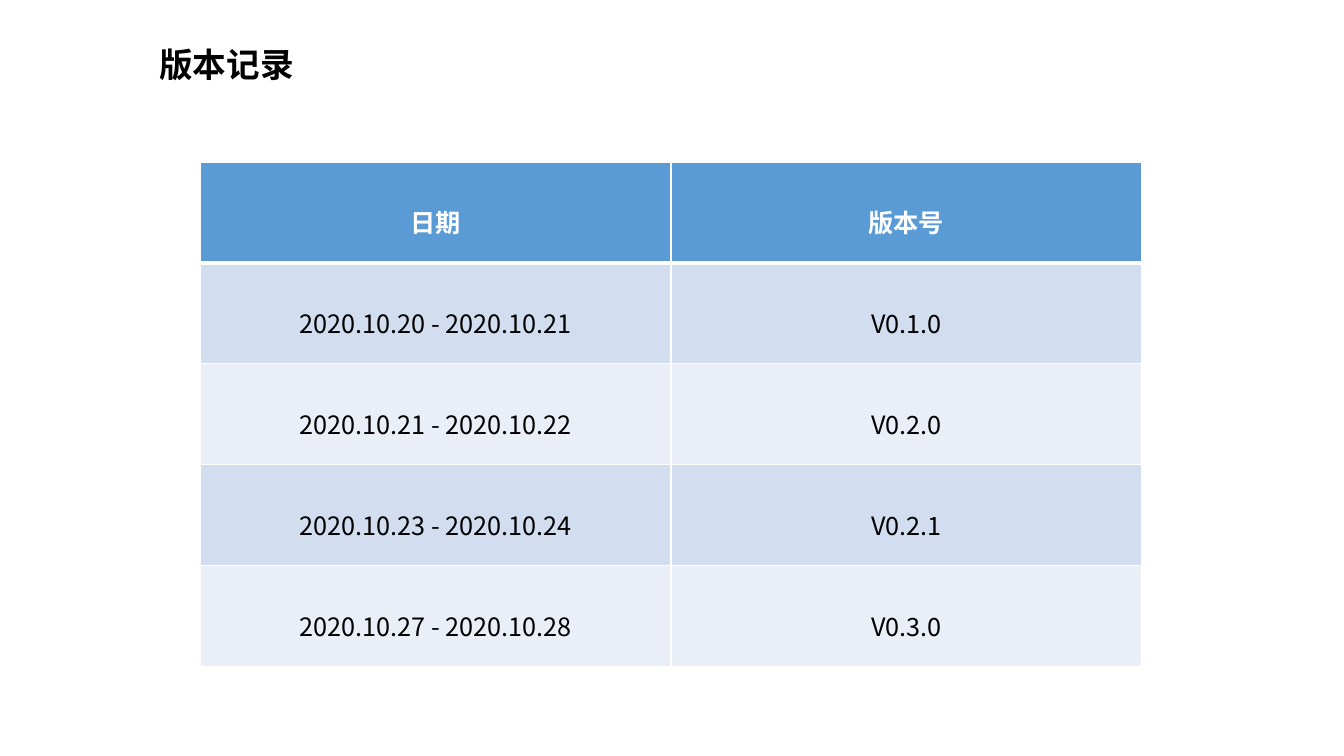
from lxml.etree import SubElement
from pptx import Presentation
from pptx.dml.color import RGBColor
from pptx.enum.text import MSO_ANCHOR, PP_ALIGN
from pptx.oxml import parse_xml
from pptx.oxml.ns import nsdecls, qn
from pptx.util import Inches, Pt

TITLE = "版本记录"
ROWS = [
    ("日期", "版本号"),
    ("2020.10.20 - 2020.10.21", "V0.1.0"),
    ("2020.10.21 - 2020.10.22", "V0.2.0"),
    ("2020.10.23 - 2020.10.24", "V0.2.1"),
    ("2020.10.27 - 2020.10.28", "V0.3.0"),
]
FONT = "Noto Sans CJK SC"
COLORS = {"head": "5B9BD5", "odd": "D2DEEF", "even": "EAEFF7",
          "white": "FFFFFF", "black": "000000"}
WIDE, HIGH = 13.33, 7.5
LEFT, TOP = 1.99, 1.61
COL, ROW = 0.35 * WIDE, HIGH / 7.5


def color(name):
    return RGBColor.from_string(COLORS[name])


def style(para, size, bold, ink, align):
    para.alignment = align
    font = para.font
    font.size, font.bold = Pt(size), bold
    font.color.rgb = color(ink)
    font.name = FONT
    props = para._p.pPr.find(qn("a:defRPr"))
    SubElement(props, qn("a:ea")).set("typeface", FONT)


def border(cell, widths):
    """Draw white cell edges, given widths in points for L, R, T and B."""
    props = cell._tc.get_or_add_tcPr()
    for i, (side, width) in enumerate(zip("LRTB", widths)):
        props.insert(i, parse_xml(
            f'<a:ln{side} {nsdecls("a")} w="{Pt(width)}"><a:solidFill>'
            f'<a:srgbClr val="{COLORS["white"]}"/></a:solidFill></a:ln{side}>'))


def add_title(slide):
    title = slide.shapes.title
    title.left, title.top = Inches(1.48), Inches(0.39)
    title.width, title.height = Inches(4.74), Inches(0.5)
    title.text = TITLE
    title.text_frame.vertical_anchor = MSO_ANCHOR.MIDDLE
    style(title.text_frame.paragraphs[0], 24, True, "black", PP_ALIGN.LEFT)


def add_grid(slide):
    count, cols = len(ROWS), len(ROWS[0])
    grid = slide.shapes.add_table(
        count, cols, Inches(LEFT), Inches(TOP),
        Inches(COL * cols), Inches(ROW * count)).table
    for r, row in enumerate(ROWS):
        head = r == 0
        shade = "head" if head else "odd" if r % 2 else "even"
        for c, text in enumerate(row):
            cell = grid.cell(r, c)
            cell.text = text
            cell.margin_top = Inches(0.41)
            cell.vertical_anchor = MSO_ANCHOR.TOP
            cell.fill.solid()
            cell.fill.fore_color.rgb = color(shade)
            border(cell, (1, 1, 3 if r == 1 else 1, 3 if head else 1))
            style(cell.text_frame.paragraphs[0], 18, head,
                  "white" if head else "black", PP_ALIGN.CENTER)


def main():
    deck = Presentation()
    deck.slide_width, deck.slide_height = Inches(WIDE), Inches(HIGH)
    slide = deck.slides.add_slide(deck.slide_layouts[5])
    add_title(slide)
    add_grid(slide)
    deck.save("out.pptx")


if __name__ == "__main__":
    main()
